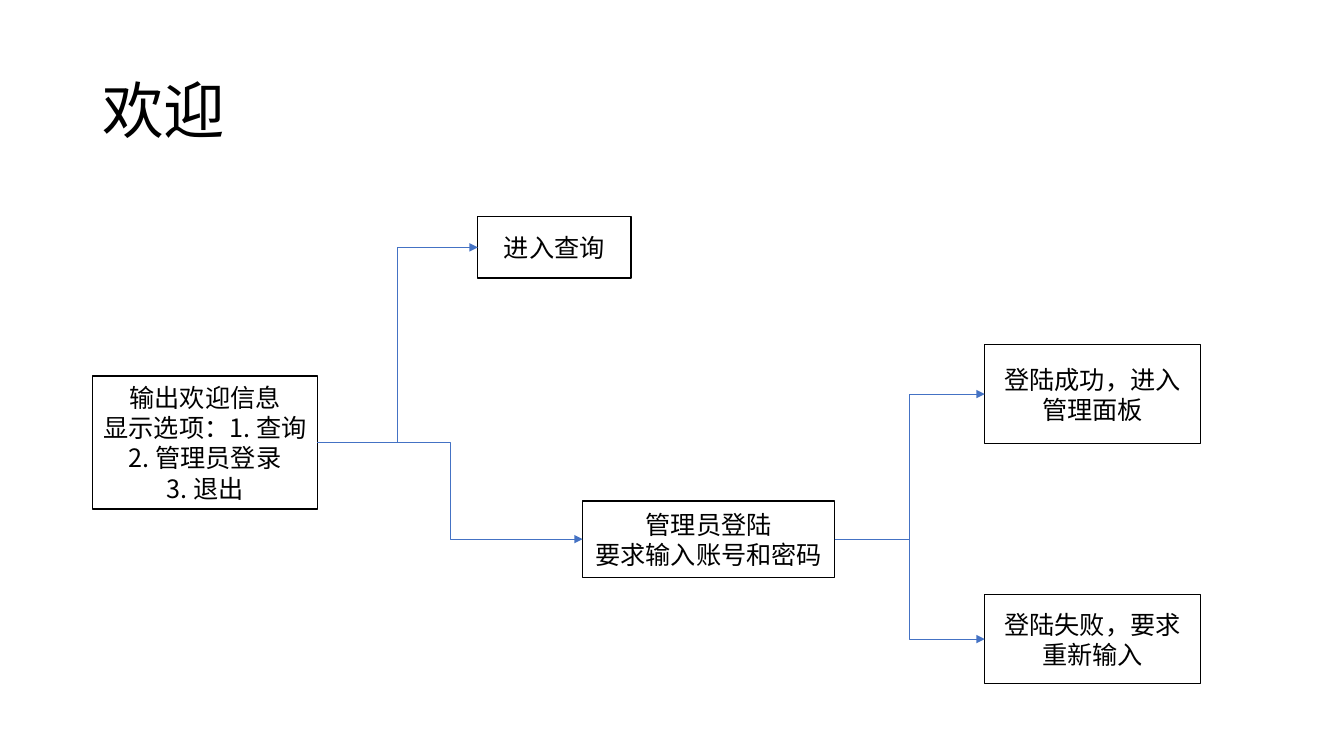
from pptx import Presentation
from pptx.dml.color import RGBColor
from pptx.enum.shapes import MSO_CONNECTOR, MSO_SHAPE
from pptx.enum.text import MSO_ANCHOR, PP_ALIGN
from pptx.oxml.ns import qn
from pptx.util import Pt
from lxml.etree import SubElement

BLACK = RGBColor(0, 0, 0)
WHITE = RGBColor(255, 255, 255)
BLUE = RGBColor(0x44, 0x72, 0xC4)
FONT = "Noto Sans CJK SC"

TITLE = "欢迎"
TITLE_AREA = (66, 28.8, 828, 104.4)
STEPS = {
    "welcome": ((66.2, 268.6, 160.6, 95),
                ["输出欢迎信息", "显示选项：1. 查询 2. 管理员登录", "3. 退出"]),
    "query": ((341.3, 154.8, 109.4, 43.9), ["进入查询"]),
    "login": ((416.2, 357.8, 180, 54.7), ["管理员登陆", "要求输入账号和密码"]),
    "success": ((703.4, 246.2, 154.1, 70.6), ["登陆成功，进入管理面板"]),
    "failure": ((703.4, 424.8, 154.1, 63.4), ["登陆失败，要求重新输入"]),
}
FLOWS = [("welcome", "query"), ("welcome", "login"),
         ("login", "success"), ("login", "failure")]
LEFT_SITE, RIGHT_SITE = 1, 3
TITLE_FORMAT = {"alignment": PP_ALIGN.LEFT, "line_spacing": 0.9}
STEP_FORMAT = {"alignment": PP_ALIGN.CENTER}


def write(shape, lines, size, paragraph_format):
    frame = shape.text_frame
    frame.word_wrap = True
    frame.vertical_anchor = MSO_ANCHOR.MIDDLE
    frame.text = "\n".join(lines)
    for paragraph in frame.paragraphs:
        for name, value in paragraph_format.items():
            setattr(paragraph, name, value)
        for run in paragraph.runs:
            for name, value in {"size": Pt(size), "name": FONT}.items():
                setattr(run.font, name, value)
            run.font.color.rgb = BLACK
            SubElement(run.font._element, qn("a:ea"), typeface=FONT)


def add_step(slide, area, lines):
    step = slide.shapes.add_shape(MSO_SHAPE.RECTANGLE, *map(Pt, area))
    step.shadow.inherit = False
    step.fill.solid()
    step.fill.fore_color.rgb = WHITE
    step.line.color.rgb = BLACK
    step.line.width = Pt(1)
    write(step, lines, 18, STEP_FORMAT)
    return step


def add_flow(slide, source, target):
    flow = slide.shapes.add_connector(MSO_CONNECTOR.ELBOW, 0, 0, 0, 0)
    flow.begin_connect(source, RIGHT_SITE)
    flow.end_connect(target, LEFT_SITE)
    flow.line.color.rgb = BLUE
    flow.line.width = Pt(0.5)
    SubElement(flow.line._get_or_add_ln(), qn("a:tailEnd"), type="triangle")
    SubElement(flow._element.spPr, qn("a:effectLst"))


deck = Presentation()
deck.slide_width, deck.slide_height = Pt(960), Pt(540)
slide = deck.slides.add_slide(deck.slide_layouts[6])

title = slide.shapes.add_textbox(*map(Pt, TITLE_AREA))
write(title, [TITLE], 44, TITLE_FORMAT)
steps = {key: add_step(slide, area, lines) for key, (area, lines) in STEPS.items()}
for source, target in FLOWS:
    add_flow(slide, steps[source], steps[target])

deck.save("out.pptx")
